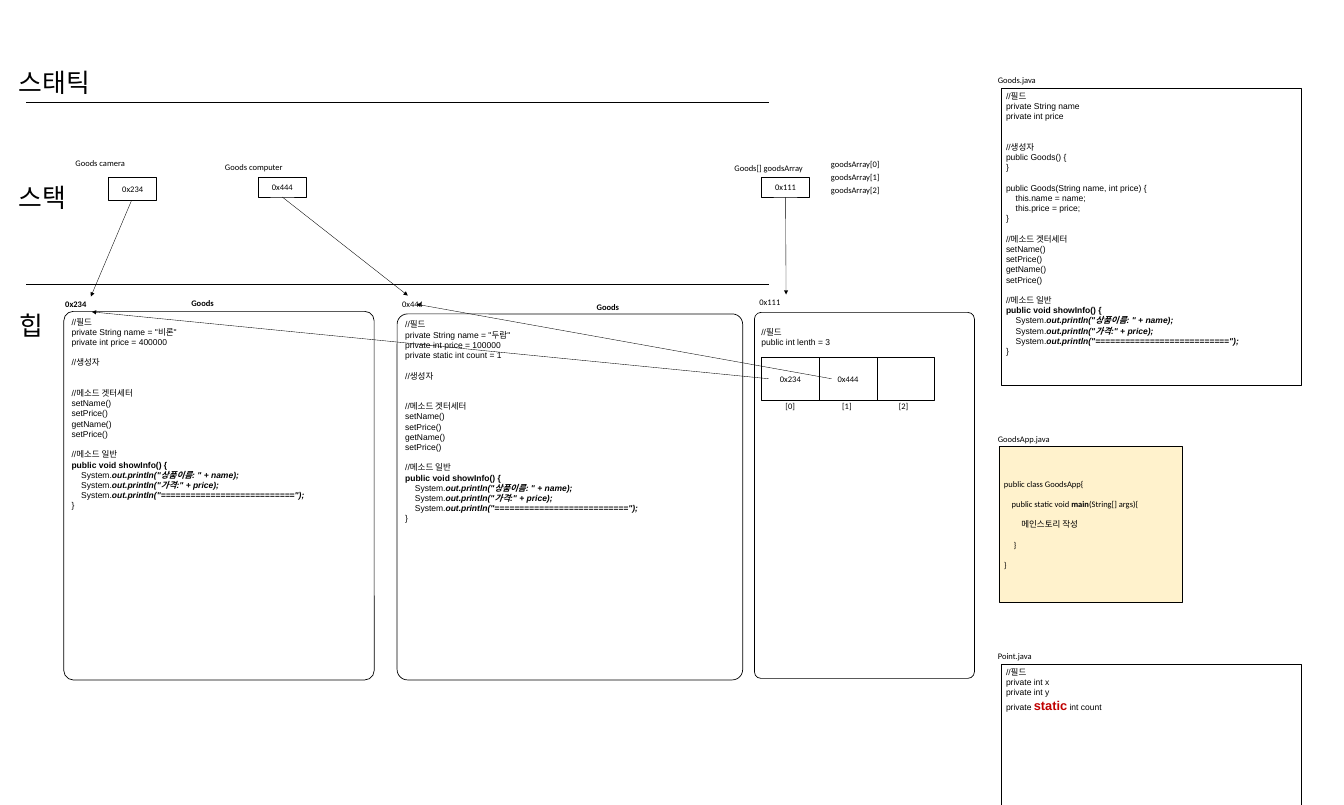
"""Builds a slide of Java static, stack and heap memory with the class sources beside it."""
from collections import namedtuple
from dataclasses import dataclass

from pptx import Presentation
from pptx.dml.color import RGBColor
from pptx.enum.shapes import MSO_CONNECTOR, MSO_SHAPE
from pptx.enum.text import MSO_ANCHOR as Anchor, PP_ALIGN as Align
from pptx.oxml.ns import qn
from pptx.util import Inches, Pt
from lxml.etree import SubElement

Line = namedtuple("Line", "runs gap indent", defaults=(0, 0))


@dataclass(frozen=True)
class Theme:
    ink: str = "000000"
    accent: str = "C00000"
    app_fill: str = "FFF2CC"
    code_font: str = "Arial"
    label_font: str = "Calibri"
    body: float = 12
    emphasis: float = 18
    heading: float = 36.4
    leading: float = 14.4
    outline: float = 1
    thin: float = 0.5


THEME = Theme()
BOLD = {"bold": True}
STRONG = {"bold": True, "italic": True}
STATIC = {"bold": True, "size": THEME.emphasis, "color": THEME.accent}
STEP = 0.19

SLIDE_SIZE = (26.33, 15.77)
AREAS = [("스태틱", 0.27, 1.25), ("스택", 0.27, 3.51), ("힙", 0.29, 6.02)]
DIVIDERS = [((0.51, y), (15.06, y)) for y in (2, 5.57)]

ACCESSORS = [
    Line("//메소드 겟터세터", 1), Line("setName()"), Line("setPrice()"),
    Line("getName()"), Line("setPrice()"),
]
SHOW_INFO = [
    Line("//메소드 일반", 1),
    Line([("public void showInfo() {", BOLD)]),
    *(Line([("System.", {}), (f"out.println({printed});", STRONG)], 0, STEP)
      for printed in ('"상품이름: " + name', '"가격:" + price', '"==========================="')),
    Line("}"),
]
GOODS_CLASS = [
    Line("//필드"), Line("private String name"), Line("private int price"),
    Line("//생성자", 2), Line("public Goods() {"), Line("}"),
    Line("public Goods(String name, int price) {", 1),
    Line("this.name = name;", 0, STEP), Line("this.price = price;", 0, STEP), Line("}"),
    *ACCESSORS, *SHOW_INFO,
]
APP_CLASS = [
    Line("public class GoodsApp{"),
    Line([("public static void ", {}), ("main", BOLD), ("(String[] args){", {})], 1, 0.15),
    Line("메인스토리 작성", 1, 0.34), Line("}", 1, STEP), Line("}", 1),
]
POINT_CLASS = [
    Line("//필드"), Line("private int x"), Line("private int y"),
    Line([("private ", {}), ("static", STATIC), (" int count", {})]),
]


def goods_object(*fields):
    return [Line("//필드"), *map(Line, fields), Line("//생성자", 1),
            ACCESSORS[0]._replace(gap=2), *ACCESSORS[1:], *SHOW_INFO]


CAMERA = goods_object('private String name = "비론"', "private int price = 400000")
COMPUTER = goods_object('private String name = "두람"', "private int price = 100000",
                        "private static int count = 1")
ARRAY = [Line("//필드"), Line("public int lenth = 3")]

SOURCES = [
    (GOODS_CLASS, (19.61, 1.73, 5.88, 5.82), {"leading": THEME.leading}),
    (APP_CLASS, (19.57, 8.75, 3.59, 3.05),
     {"leading": THEME.leading, "font": THEME.label_font,
      "anchor": Anchor.MIDDLE, "fill": THEME.app_fill}),
    (POINT_CLASS, (19.61, 13.01, 5.88, 5.82), {}),
]
HEAP_OBJECTS = [
    (CAMERA, (1.25, 6.1, 6.08, 7.22), 0.05),
    (COMPUTER, (7.78, 6.15, 6.77, 7.17), 0.05),
    (ARRAY, (14.78, 6.12, 4.31, 7.17), 0.25),
]
STACK_CELLS = [
    ("0x234", (2.13, 3.47, 0.94, 0.45)),
    ("0x444", (5.06, 3.48, 0.94, 0.38)),
    ("0x111", (14.92, 3.48, 0.94, 0.38)),
]
SLOTS = ["0x234", "0x444", ""]
SLOT_LEFT, SLOT_TOP, SLOT_WIDTH, SLOT_HEIGHT = 14.92, 7, 1.13, 0.85

LABELS = [
    ("Goods.java", 19.45, 1.42), ("GoodsApp.java", 19.45, 8.46), ("Point.java", 19.45, 12.7),
    ("Goods camera", 1.38, 3.05), ("Goods computer", 4.31, 3.12),
    ("Goods[] goodsArray", 14.29, 3.14), ("0x444", 7.78, 5.81), ("0x111", 14.78, 5.77),
    *((f"goodsArray[{i}]", 16.18, 3.07 + 0.25 * i) for i in range(len(SLOTS))),
    *((f"[{i}]", 15.29 + 1.11 * i, 7.81) for i in range(len(SLOTS))),
]
BOLD_LABELS = [("0x234", 1.18, 5.81), ("Goods", 3.65, 5.79), ("Goods", 11.59, 5.87)]
REFERENCES = [
    ((2.58, 3.92), (1.78, 5.81)), ((5.53, 3.86), (7.99, 5.79)), ((15.39, 3.86), (15.4, 5.77)),
    ((15.06, 7.42), (1.8, 6.11)), ((16.29, 7.42), (8.16, 5.96)),
]


def write(shape, lines, *, font=THEME.label_font, size=THEME.body, bold=False,
          align=Align.LEFT, anchor=Anchor.TOP, leading=None, top=0.05):
    frame = shape.text_frame
    frame.word_wrap = True
    frame.vertical_anchor = anchor
    frame.margin_top = Inches(top)
    for number, line in enumerate(lines):
        paragraph = frame.paragraphs[0] if number == 0 else frame.add_paragraph()
        paragraph.alignment = align
        paragraph.space_before = Pt(line.gap * THEME.leading)
        if leading:
            paragraph.line_spacing = Pt(leading)
        if line.indent:
            paragraph._p.get_or_add_pPr().set("marL", str(Inches(line.indent)))
        runs = [(line.runs, {})] if isinstance(line.runs, str) else line.runs
        for text, style in runs:
            run = paragraph.add_run()
            run.text = text
            run.font.name = font
            run.font.size = Pt(style.get("size", size))
            run.font.bold = style.get("bold", bold)
            run.font.italic = style.get("italic", False)
            run.font.color.rgb = RGBColor.from_string(style.get("color", THEME.ink))


def add_label(slide, text, left, top, width=1.6, height=0.3, **style):
    box = slide.shapes.add_textbox(*map(Inches, (left, top, width, height)))
    write(box, [Line(text)], **style)


def add_box(slide, lines, place, kind=MSO_SHAPE.RECTANGLE, fill=None, **style):
    box = slide.shapes.add_shape(kind, *map(Inches, place))
    box.shadow.inherit = False
    if kind == MSO_SHAPE.ROUNDED_RECTANGLE:
        box.adjustments[0] = 0.03
    if fill:
        box.fill.solid()
        box.fill.fore_color.rgb = RGBColor.from_string(fill)
    else:
        box.fill.background()
    box.line.color.rgb = RGBColor.from_string(THEME.ink)
    box.line.width = Pt(THEME.outline)
    write(box, lines, **style)


def add_line(slide, start, end, arrow=False):
    line = slide.shapes.add_connector(MSO_CONNECTOR.STRAIGHT, *map(Inches, (*start, *end)))
    line.line.color.rgb = RGBColor.from_string(THEME.ink)
    line.line.width = Pt(THEME.thin)
    if arrow:
        SubElement(line.line._get_or_add_ln(), qn("a:tailEnd"), type="triangle")
    SubElement(line._element.spPr, qn("a:effectLst"))


def main():
    deck = Presentation()
    deck.slide_width, deck.slide_height = map(Inches, SLIDE_SIZE)
    slide = deck.slides.add_slide(deck.slide_layouts[6])
    for name, left, top in AREAS:
        add_label(slide, name, left, top, 1.75, 0.71, size=THEME.heading)
    for start, end in DIVIDERS:
        add_line(slide, start, end)
    for lines, place, style in SOURCES:
        add_box(slide, lines, place, **{"font": THEME.code_font, **style})
    for lines, place, top in HEAP_OBJECTS:
        add_box(slide, lines, place, MSO_SHAPE.ROUNDED_RECTANGLE,
                font=THEME.code_font, leading=THEME.leading, top=top)
    slots = [(address, (SLOT_LEFT + i * SLOT_WIDTH, SLOT_TOP, SLOT_WIDTH, SLOT_HEIGHT))
             for i, address in enumerate(SLOTS)]
    for address, place in STACK_CELLS + slots:
        add_box(slide, [Line(address)] if address else [], place,
                align=Align.CENTER, anchor=Anchor.MIDDLE)
    for text, left, top in LABELS:
        add_label(slide, text, left, top)
    for text, left, top in BOLD_LABELS:
        add_label(slide, text, left, top, bold=True)
    for start, end in REFERENCES:
        add_line(slide, start, end, arrow=True)
    deck.save("out.pptx")


if __name__ == "__main__":
    main()
